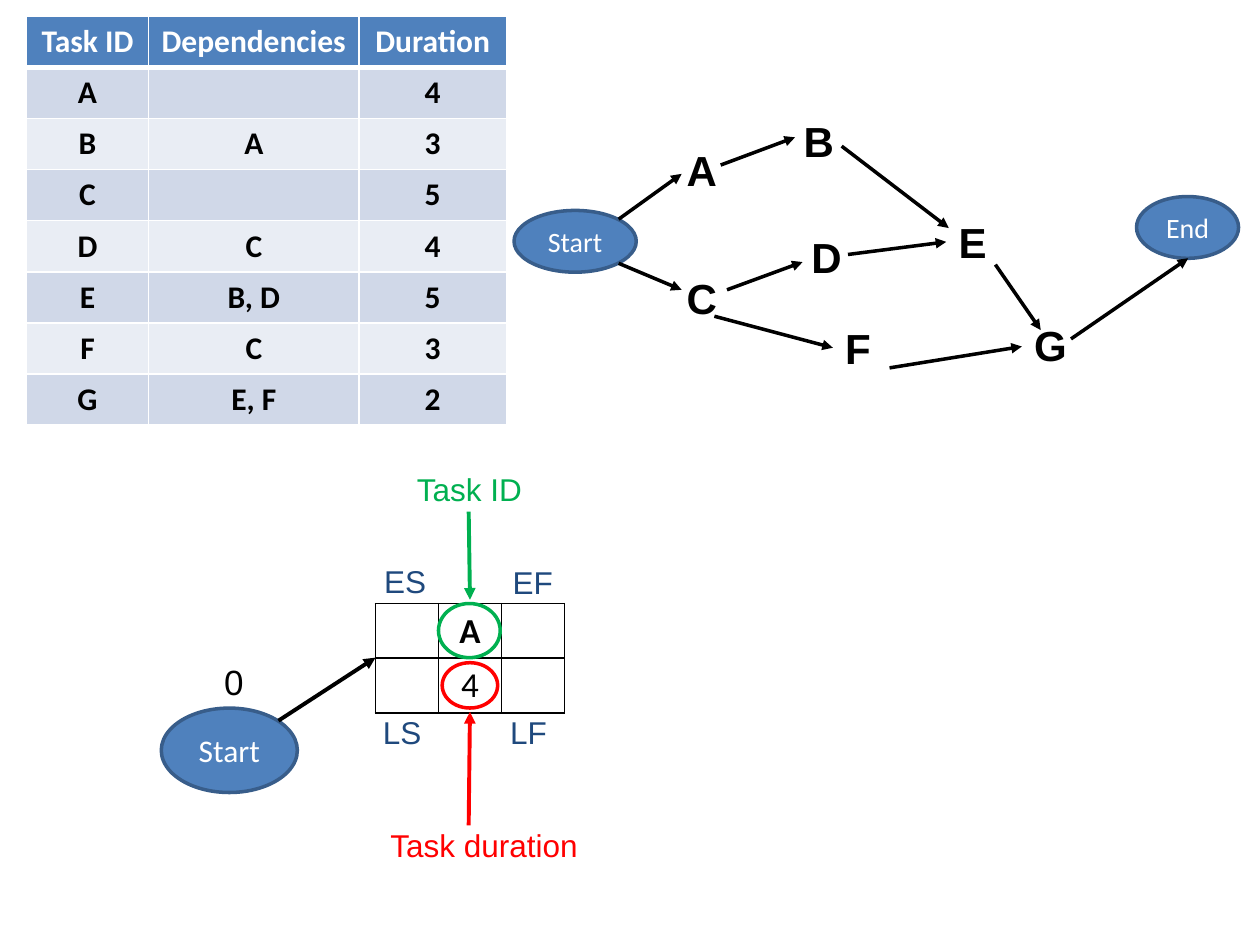
"""Build a slide with a task table, its dependency graph and a node key."""
from dataclasses import dataclass

from lxml.etree import SubElement as Sub
from pptx import Presentation
from pptx.dml.color import RGBColor as Rgb
from pptx.enum.shapes import MSO_CONNECTOR as Conn, MSO_SHAPE as Kind
from pptx.enum.text import MSO_ANCHOR as Anchor, PP_ALIGN as Align
from pptx.oxml.ns import qn
from pptx.util import Inches, Pt


@dataclass(frozen=True)
class Theme:
    black: str = "000000"
    white: str = "FFFFFF"
    blue: str = "4F81BD"
    edge: str = "385D8A"
    navy: str = "1F497D"
    green: str = "00B050"
    red: str = "FF0000"
    bands: tuple = ("E9EDF4", "D0D8E8")
    sans: str = "Arial"
    body: str = "Calibri"
    small: int = 16
    base: int = 18
    big: int = 20
    node: int = 24
    thin: float = 2
    thick: float = 2.25


T = Theme()
TASKS = [
    ("Task ID", "Dependencies", "Duration"),
    ("A", "", "4"),
    ("B", "A", "3"),
    ("C", "", "5"),
    ("D", "C", "4"),
    ("E", "B, D", "5"),
    ("F", "C", "3"),
    ("G", "E, F", "2"),
]
NODES = {
    "A": (5.35, 1.1), "C": (5.35, 2.11), "B": (6.28, 0.87),
    "D": (6.34, 1.79), "E": (7.51, 1.67), "F": (6.61, 2.51),
    "G": (8.11, 2.49),
}
EDGES = [
    (4.91, 1.74, 5.41, 1.38), (4.91, 2.09, 5.41, 2.3),
    (5.72, 1.31, 6.31, 1.09), (5.77, 2.3, 6.37, 2.08),
    (6.73, 2.02, 7.51, 1.92), (6.68, 1.16, 7.53, 1.81),
    (5.67, 2.51, 6.61, 2.76), (7.06, 2.92, 8.11, 2.75),
    (7.9, 2.1, 8.26, 2.62), (8.5, 2.69, 9.43, 2.05),
]
MARKS = [("ES", 2.95, 4.41), ("EF", 3.97, 4.42),
         ("LS", 2.94, 5.61), ("LF", 3.95, 5.61)]


def write(frame, text, size=T.base, font=T.sans, color=T.black,
          bold=False, align=Align.LEFT):
    """Put one formatted line of text in a frame."""
    para = frame.paragraphs[0]
    para.alignment = align
    run = para.add_run()
    run.text = text
    run.font.size = Pt(size)
    run.font.name = font
    run.font.bold = bold
    run.font.color.rgb = Rgb.from_string(color)


def label(slide, text, x, y, w, h=0.4, **form):
    """Add a text box."""
    box = slide.shapes.add_textbox(Inches(x), Inches(y), Inches(w), Inches(h))
    box.text_frame.word_wrap = True
    write(box.text_frame, text, **form)


def oval(slide, x, y, w, h, line, fill=None, text="", size=T.base):
    """Add an ellipse, either filled with text or as a plain ring."""
    shape = slide.shapes.add_shape(
        Kind.OVAL, Inches(x), Inches(y), Inches(w), Inches(h))
    shape.shadow.inherit = False
    shape.line.color.rgb = Rgb.from_string(line)
    shape.line.width = Pt(T.thin)
    if fill:
        shape.fill.solid()
        shape.fill.fore_color.rgb = Rgb.from_string(fill)
    else:
        shape.fill.background()
    if text:
        shape.text_frame.vertical_anchor = Anchor.MIDDLE
        write(shape.text_frame, text, size=size, font=T.body,
              color=T.white, align=Align.CENTER)


def arrow(slide, ends, color=T.black, width=T.thin):
    """Add a straight line with an arrowhead at its far end."""
    line = slide.shapes.add_connector(
        Conn.STRAIGHT, *[Inches(v) for v in ends])
    line.line.color.rgb = Rgb.from_string(color)
    line.line.width = Pt(width)
    Sub(line.line._get_or_add_ln(), qn("a:tailEnd"), type="triangle")
    Sub(line._element.spPr, qn("a:effectLst"))


def border(cell, color, top=1, base=1):
    """Draw the four edges of a table cell."""
    props = cell._tc.get_or_add_tcPr()
    for side, width in (("L", 1), ("R", 1), ("T", top), ("B", base)):
        line = Sub(props, qn("a:ln" + side), w=str(Pt(width)))
        fill = Sub(line, qn("a:solidFill"))
        Sub(fill, qn("a:srgbClr"), val=color)


def grid(slide, x, y, cols, high, count):
    """Add a bare table and return it."""
    table = slide.shapes.add_table(
        count, len(cols), Inches(x), Inches(y),
        Inches(sum(cols)), Inches(high * count)).table
    table.first_row = table.horz_banding = False
    for col, wide in zip(table.columns, cols):
        col.width = Inches(wide)
    return table


def tasks(slide):
    """Add the banded table of tasks."""
    table = grid(slide, 0.21, 0.13, (0.97, 1.67, 1.17), 0.405, len(TASKS))
    for r, row in enumerate(TASKS):
        for c, text in enumerate(row):
            cell = table.cell(r, c)
            border(cell, T.white, top=3 if r == 1 else 1,
                   base=3 if r == 0 else 1)
            cell.fill.solid()
            cell.fill.fore_color.rgb = Rgb.from_string(
                T.bands[r % 2] if r else T.blue)
            if text:
                write(cell.text_frame, text, font=T.body, bold=True,
                      color=T.black if r else T.white, align=Align.CENTER)


def graph(slide):
    """Add the dependency graph."""
    for name, (x, y) in NODES.items():
        label(slide, name, x, y, 0.45, 0.5, size=T.node, bold=True)
    oval(slide, 4.08, 1.67, 0.97, 0.49, T.edge, T.blue, "Start", T.small)
    oval(slide, 9.02, 1.56, 0.81, 0.49, T.edge, T.blue, "End", T.small)
    for ends in EDGES:
        arrow(slide, ends)


def key(slide):
    """Add the sample node with its labels."""
    oval(slide, 1.28, 5.62, 1.08, 0.67, T.edge, T.blue, "Start")
    table = grid(slide, 2.98, 4.79, (0.5, 0.5, 0.5), 0.43, 2)
    for cell in table.iter_cells():
        border(cell, T.black)
        cell.fill.background()
    for r, text in enumerate("A4"):
        write(table.cell(r, 1).text_frame, text, size=T.big, font=T.body,
              bold=r == 0, align=Align.CENTER)
    label(slide, "0", 1.68, 5.19, 0.54, 0.44, size=T.big)
    arrow(slide, (2.21, 5.72, 2.98, 5.22), width=T.thick)
    for text, x, y in MARKS:
        label(slide, text, x, y, 0.71, color=T.navy)
    label(slide, "Task ID", 3.21, 3.68, 1.08, color=T.green)
    oval(slide, 3.48, 4.79, 0.49, 0.43, T.green)
    arrow(slide, (3.72, 4.06, 3.73, 4.76), T.green, T.thick)
    oval(slide, 3.51, 5.26, 0.44, 0.36, T.red)
    label(slide, "Task duration", 3, 6.51, 1.75, color=T.red)
    arrow(slide, (3.72, 6.55, 3.73, 5.65), T.red, T.thick)


def main():
    """Build and save the slide."""
    deck = Presentation()
    deck.slide_width, deck.slide_height = Inches(10), Inches(7.5)
    slide = deck.slides.add_slide(deck.slide_layouts[6])
    tasks(slide)
    graph(slide)
    key(slide)
    deck.save("out.pptx")


if __name__ == "__main__":
    main()
